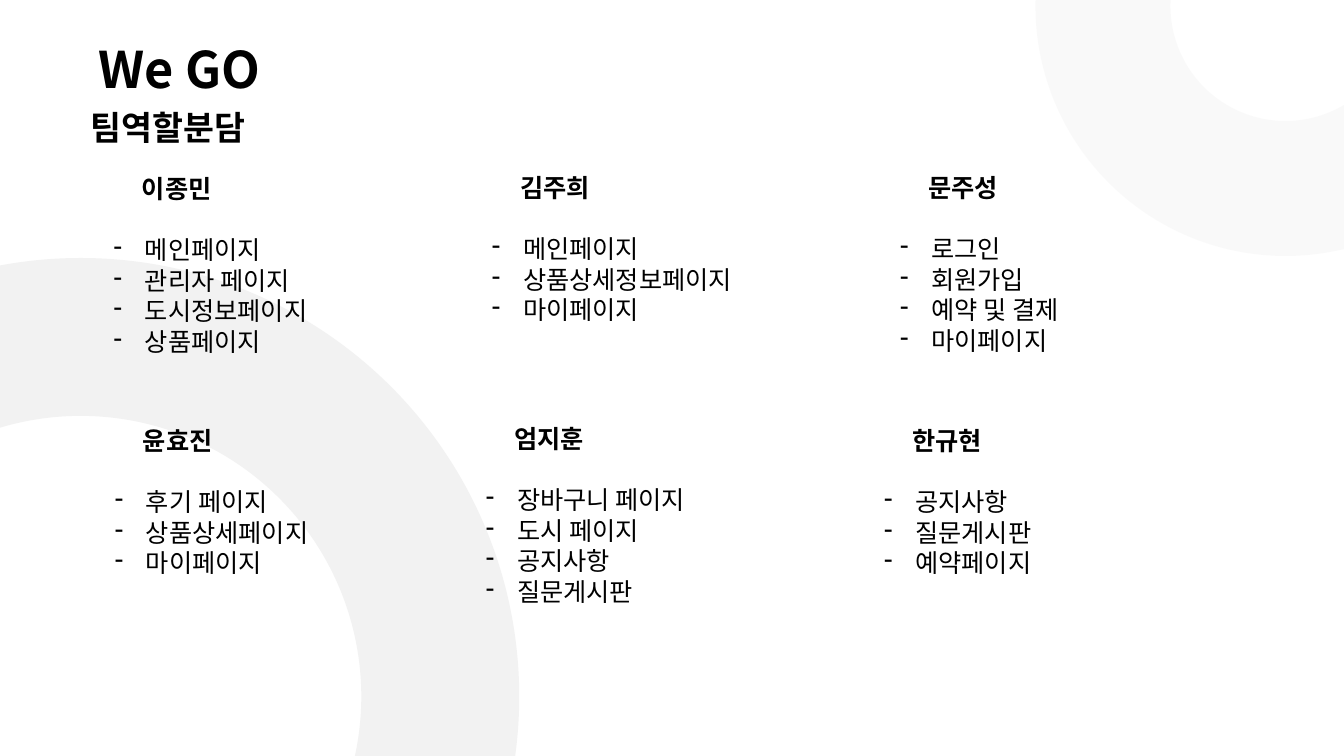
from lxml import etree
from pptx import Presentation
from pptx.dml.color import RGBColor
from pptx.enum.shapes import MSO_SHAPE
from pptx.enum.text import PP_ALIGN
from pptx.oxml.ns import qn
from pptx.util import Inches, Pt

DONUT = MSO_SHAPE.DONUT
LEFT, CENTER = PP_ALIGN.LEFT, PP_ALIGN.CENTER
FONT = "Noto Sans CJK KR"
LINE_RATIO = 1.21
INDENT = 0.31
BODY_SIZE = 18

MEMBERS = [
    (1.03, 1.67, "이종민", ["메인페이지", "관리자 페이지", "도시정보페이지", "상품페이지"]),
    (4.78, 1.66, "김주희", ["메인페이지", "상품상세정보페이지", "마이페이지"]),
    (8.83, 1.66, "문주성", ["로그인", "회원가입", "예약 및 결제", "마이페이지"]),
    (1.04, 4.17, "윤효진", ["후기 페이지", "상품상세페이지", "마이페이지"]),
    (4.72, 4.15, "엄지훈", ["장바구니 페이지", "도시 페이지", "공지사항", "질문게시판"]),
    (8.67, 4.17, "한규현", ["공지사항", "질문게시판", "예약페이지"]),
]


def color(hex_code):
    return RGBColor.from_string(hex_code)


def add_ring(slide, left, top, size, thickness, alpha):
    """Add a translucent grey ring; thickness and alpha are shares of 1."""
    sp = slide.shapes.add_shape(DONUT, Inches(left), Inches(top), Inches(size), Inches(size))
    sp.adjustments[0] = thickness
    sp.shadow.inherit = False
    sp.line.fill.background()
    sp.fill.solid()
    sp.fill.fore_color.rgb = color("BFBFBF")
    clr = sp.fill._xPr.find(".//" + qn("a:srgbClr"))
    etree.SubElement(clr, qn("a:alpha"), val=str(round(alpha * 100000)))


def add_text_box(slide, left, top, width, height):
    box = slide.shapes.add_textbox(Inches(left), Inches(top), Inches(width), Inches(height))
    box.text_frame.word_wrap = True
    return box.text_frame


def write(p, text, size, bold=False, align=LEFT):
    p.text = text
    p.alignment = align
    p.line_spacing = Pt(round(size * LINE_RATIO, 1))
    font = p.runs[0].font
    font.size, font.bold, font.name = Pt(size), bold, FONT
    font.color.rgb = color("000000")
    etree.SubElement(font._element, qn("a:ea"), typeface=FONT)


def set_indent(p, margin, first_line=0.0):
    pPr = p._p.get_or_add_pPr()
    pPr.set("marL", str(Inches(margin)))
    pPr.set("indent", str(Inches(first_line)))
    return pPr


def add_heading(slide):
    tf = add_text_box(slide, 0.5, 0.32, 2.56, 0.71)
    write(tf.paragraphs[0], "We GO", 36, True, CENTER)
    tf = add_text_box(slide, 0.8, 1.01, 3.52, 0.6)
    write(tf.paragraphs[0], "팀역할분담", 24, True)


def add_member(slide, left, top, name, tasks):
    """Add a member's name with a dashed list of tasks below it."""
    line = BODY_SIZE * LINE_RATIO / 72
    tf = add_text_box(slide, left, top, 2.87, 0.1 + line * (len(tasks) + 2))
    p = tf.paragraphs[0]
    write(p, name, BODY_SIZE, True)
    set_indent(p, 0.28)
    p.space_after = Pt(round(BODY_SIZE * LINE_RATIO, 1))
    for task in tasks:
        p = tf.add_paragraph()
        write(p, task, BODY_SIZE)
        pPr = set_indent(p, INDENT, -INDENT)
        etree.SubElement(pPr, qn("a:buFontTx"))
        etree.SubElement(pPr, qn("a:buChar"), char="-")


def main():
    prs = Presentation()
    prs.slide_width, prs.slide_height = Inches(13.33), Inches(7.5)
    slide = prs.slides.add_slide(prs.slide_layouts[6])
    add_ring(slide, -3.55, 2.56, 8.7, 0.18, 0.2)
    add_ring(slide, 10.27, -2.42, 4.96, 0.27, 0.08)
    add_heading(slide)
    for member in MEMBERS:
        add_member(slide, *member)
    prs.save("out.pptx")


if __name__ == "__main__":
    main()
